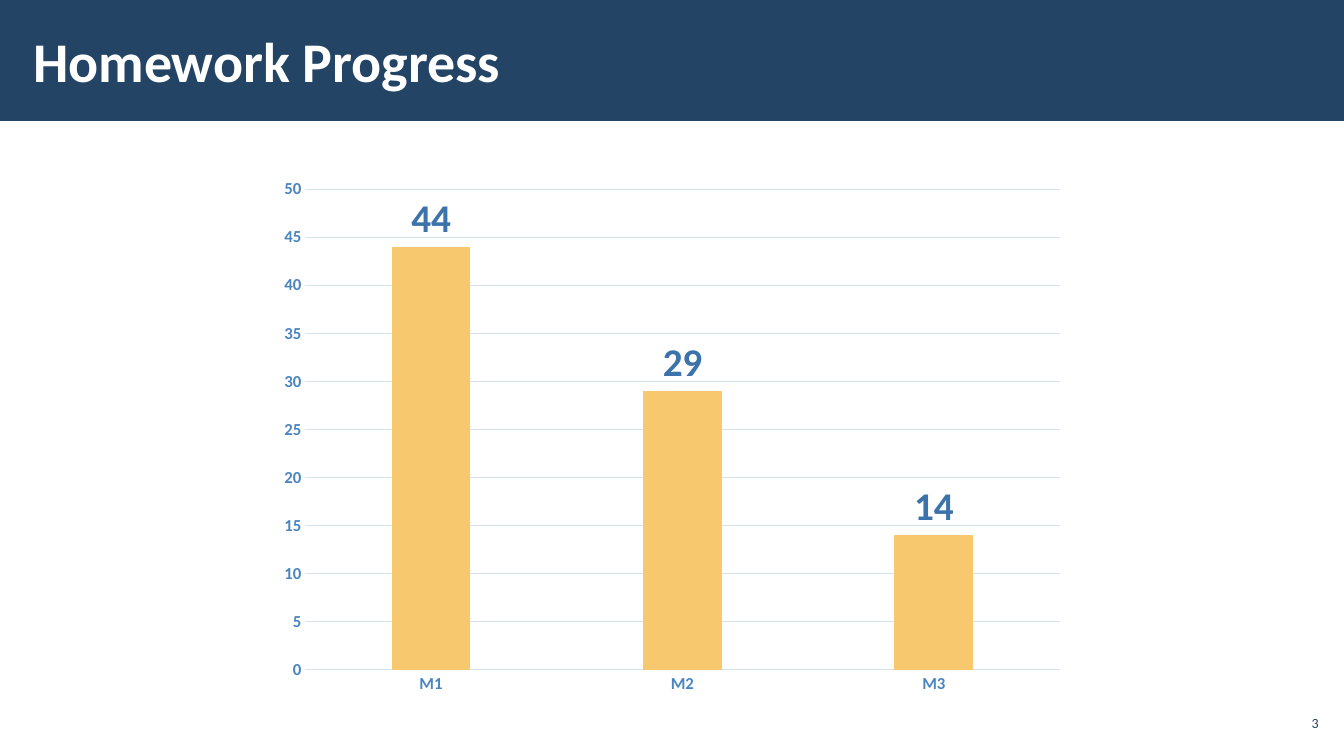
import pptx
import pptx.chart.data
import pptx.dml.color
import pptx.enum.chart
import pptx.enum.shapes
import pptx.enum.text
import pptx.util
from pptx.util import Inches


def color(code):
    return pptx.dml.color.RGBColor.from_string(code)


def style_font(font, size, code, bold=False):
    font.name = "Calibri"
    font.size = pptx.util.Pt(size)
    font.bold = bold
    font.color.rgb = color(code)


NAVY = "234465"
GRID = "D5E3F1"

deck = pptx.Presentation()
deck.slide_width = Inches(13.33)
deck.slide_height = Inches(7.5)
page = deck.slides.add_slide(deck.slide_layouts[6])

banner = page.shapes.add_shape(
    pptx.enum.shapes.MSO_SHAPE.RECTANGLE, 0, 0, deck.slide_width, Inches(1.2)
)
banner.shadow.inherit = False
banner.fill.solid()
banner.fill.fore_color.rgb = color(NAVY)
banner.line.fill.background()

align = pptx.enum.text.PP_ALIGN
texts = [
    ("Homework Progress", (0.21, 0.11, 10.4, 0.97), 0.12, 40, "FFFFFF", True, align.LEFT),
    ("3", (12.65, 7, 0.47, 0.34), 0.04, 10, NAVY, False, align.RIGHT),
]
for words, place, side_inset, size, code, bold, alignment in texts:
    box = page.shapes.add_textbox(*map(Inches, place))
    frame = box.text_frame
    frame.word_wrap = True
    frame.vertical_anchor = pptx.enum.text.MSO_ANCHOR.MIDDLE
    frame.margin_left = frame.margin_right = Inches(side_inset)
    frame.margin_top = frame.margin_bottom = Inches(0.04)
    para = frame.paragraphs[0]
    para.alignment = alignment
    span = para.add_run()
    span.text = words
    style_font(span.font, size, code, bold)

data = pptx.chart.data.CategoryChartData()
data.categories = ["M1", "M2", "M3"]
data.add_series("Series 1", [44, 29, 14])
chart = page.shapes.add_chart(
    pptx.enum.chart.XL_CHART_TYPE.COLUMN_CLUSTERED,
    Inches(2.66), Inches(1.67), Inches(8.01), Inches(5.32), data,
).chart
chart.has_legend = False
chart.has_title = False
style_font(chart.font, 10, NAVY)

for axis in (chart.category_axis, chart.value_axis):
    axis.major_tick_mark = pptx.enum.chart.XL_TICK_MARK.NONE
    axis.minor_tick_mark = pptx.enum.chart.XL_TICK_MARK.NONE
    style_font(axis.tick_labels.font, 12, "4A85C0", True)

values = chart.value_axis
values.minimum_scale = 0
values.maximum_scale = 50
values.major_unit = 5
values.has_major_gridlines = True
values.format.line.fill.background()
for line in (chart.category_axis.format.line, values.major_gridlines.format.line):
    line.color.rgb = color(GRID)
    line.width = pptx.util.Pt(0.75)

plot = chart.plots[0]
plot.gap_width = 219
plot.overlap = -27
plot.vary_by_categories = False
bars = plot.series[0]
bars.format.fill.solid()
bars.format.fill.fore_color.rgb = color("F7C86D")
labels = bars.data_labels
labels.show_value = True
labels.position = pptx.enum.chart.XL_LABEL_POSITION.OUTSIDE_END
style_font(labels.font, 28, "3B73AA", True)

deck.save("out.pptx")
